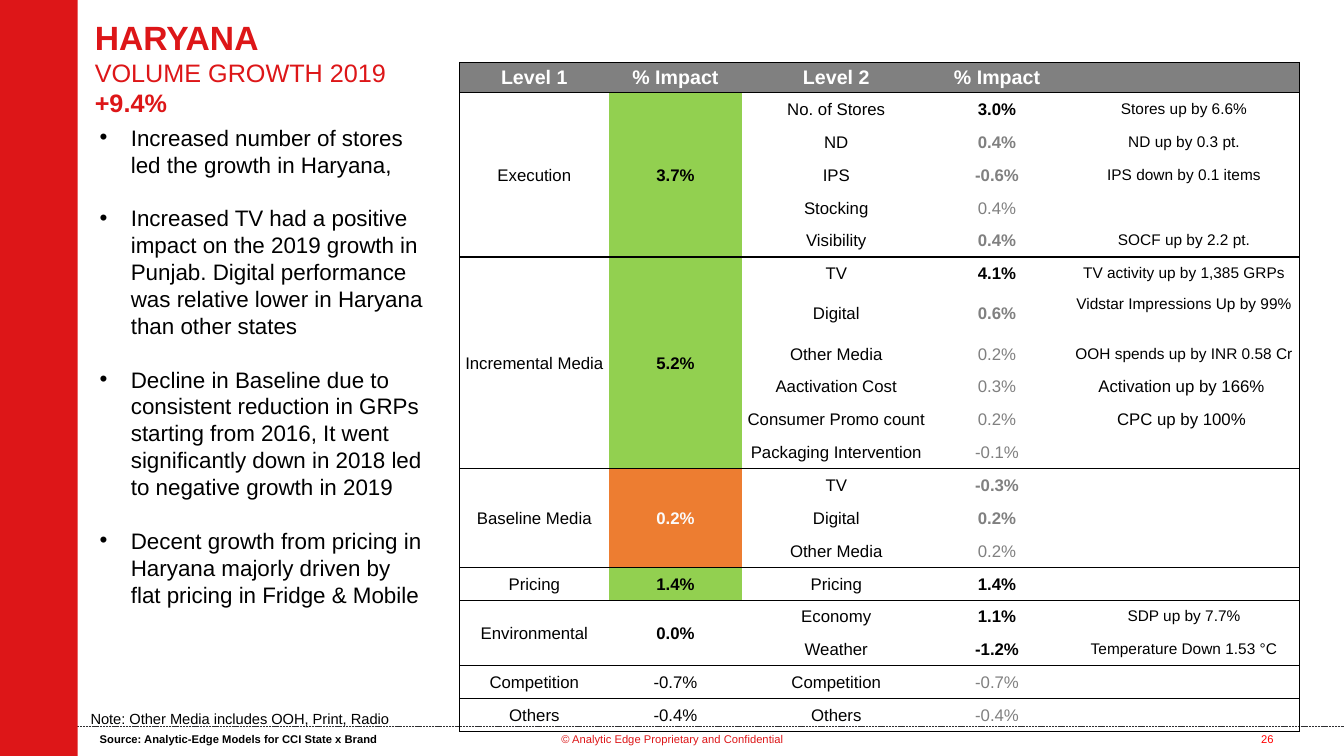
from lxml import etree
from pptx import Presentation
from pptx import util as u
from pptx.dml.color import RGBColor
from pptx.enum import dml, shapes, text
from pptx.oxml import ns


class Theme:
    font = "Arial"
    red, page_red, black, white = "DD1618", "FF0000", "000000", "FFFFFF"
    grey, green, orange, pale, dark = "808080", "92D050", "ED7D31", "FBFBFB", "2E2E30"
    title, subtitle, body, header = 24, 18, 16, 14
    cell, remark, note, footer = 12, 11, 10.5, 8


def add_run(para, words, size, color, bold=False):
    span = para.add_run()
    span.text = words
    span.font.name = Theme.font
    span.font.size = u.Pt(size)
    span.font.bold = bold
    span.font.color.rgb = RGBColor.from_string(color)


def set_borders(cell, sides):
    props = cell._tc.get_or_add_tcPr()
    for side in "LRTB":
        line = etree.SubElement(props, ns.qn(f"a:ln{side}"), w=str(u.Pt(1)))
        if side in sides:
            fill = etree.SubElement(line, ns.qn("a:solidFill"))
            etree.SubElement(fill, ns.qn("a:srgbClr"), val=Theme.black)
        else:
            etree.SubElement(line, ns.qn("a:noFill"))


deck = Presentation()
deck.slide_width, deck.slide_height = u.Inches(13.33), u.Inches(7.5)
page = deck.slides.add_slide(deck.slide_layouts[5])

footer_line = page.shapes.add_connector(
    shapes.MSO_CONNECTOR.STRAIGHT, u.Inches(0.71), u.Inches(7.21), u.Inches(13.33), u.Inches(7.21))
footer_line.line.color.rgb = RGBColor.from_string(Theme.dark)
footer_line.line.width = u.Pt(0.5)
footer_line.line.dash_style = dml.MSO_LINE.SQUARE_DOT
etree.SubElement(footer_line._element.spPr, ns.qn("a:effectLst"))

side_band = page.shapes.add_shape(
    shapes.MSO_SHAPE.RECTANGLE, 0, 0, u.Inches(0.77), u.Inches(7.5))
side_band.shadow.inherit = False
side_band.fill.solid()
side_band.fill.fore_color.rgb = RGBColor.from_string(Theme.red)
side_band.line.fill.background()

title = page.shapes.title
title.left, title.top = u.Inches(0.84), u.Inches(0.12)
title.width, title.height = u.Inches(10.25), u.Inches(0.86)
title.text_frame.auto_size = text.MSO_AUTO_SIZE.NONE
title.text_frame.vertical_anchor = text.MSO_ANCHOR.TOP
para = title.text_frame.paragraphs[0]
para.alignment = text.PP_ALIGN.LEFT
title_lines = [
    ("HARYANA", Theme.title, True),
    ("VOLUME GROWTH 2019", Theme.subtitle, False),
    ("+9.4%", Theme.subtitle, True),
]
for index, (words, size, bold) in enumerate(title_lines):
    if index:
        para.add_line_break()
        line_break = para._p.findall(ns.qn("a:br"))[-1]
        etree.SubElement(line_break, ns.qn("a:rPr"), sz=str(title_lines[index - 1][1] * 100))
    add_run(para, words, size, Theme.red, bold)

center, left = text.PP_ALIGN.CENTER, text.PP_ALIGN.LEFT
labels = [
    ("© Analytic Edge Proprietary and Confidential", 5.27, 7.22, 2.8, 0.4,
     center, Theme.footer, Theme.red, False),
    ("26", 12.26, 7.22, 0.62, 0.4, center, Theme.footer, Theme.page_red, False),
    ("Source: Analytic-Edge Models for CCI State x Brand", 0.89, 7.22, 2.98, 0.24,
     left, Theme.footer, Theme.black, True),
    ("Note: Other Media includes OOH, Print, Radio", 0.8, 6.99, 5.66, 0.29,
     left, Theme.note, Theme.black, False),
]
for words, x, y, width, height, align, size, color, bold in labels:
    box = page.shapes.add_textbox(u.Inches(x), u.Inches(y), u.Inches(width), u.Inches(height))
    box.text_frame.word_wrap = True
    para = box.text_frame.paragraphs[0]
    para.alignment = align
    add_run(para, words, size, color, bold)

findings = [
    "Increased number of stores led the growth in Haryana,",
    "Increased TV had a positive impact on the 2019 growth in Punjab. "
    "Digital performance was relative lower in Haryana than other states",
    "Decline in Baseline due to consistent reduction in GRPs starting from 2016, "
    "It went significantly down in 2018 led to negative growth in 2019",
    "Decent growth from pricing in Haryana majorly driven by flat pricing in Fridge & Mobile",
]
box = page.shapes.add_textbox(u.Inches(0.89), u.Inches(1.18), u.Inches(3.43), u.Inches(4.95))
box.text_frame.word_wrap = True
for index, finding in enumerate(findings):
    para = box.text_frame.add_paragraph() if index else box.text_frame.paragraphs[0]
    props = para._p.get_or_add_pPr()
    props.set("marL", str(u.Inches(0.31)))
    props.set("indent", str(-u.Inches(0.31)))
    etree.SubElement(props, ns.qn("a:buFont"), typeface=Theme.font)
    etree.SubElement(props, ns.qn("a:buChar"), char="•")
    para.line_spacing = u.Pt(19.2)
    if index:
        para.space_before = u.Pt(19.2)
    add_run(para, finding, Theme.body, Theme.black)

strong, medium, light = (Theme.black, True), (Theme.grey, True), (Theme.grey, False)
sections = [
    ("Execution", "3.7%", Theme.green, strong, [
        ("No. of Stores", "3.0%", strong, "Stores up by 6.6%", Theme.remark),
        ("ND", "0.4%", medium, "ND up by 0.3 pt.", Theme.remark),
        ("IPS", "-0.6%", medium, "IPS down by 0.1 items", Theme.remark),
        ("Stocking", "0.4%", light, "", Theme.cell),
        ("Visibility", "0.4%", medium, "SOCF up by 2.2 pt.", Theme.remark)]),
    ("Incremental Media", "5.2%", Theme.green, strong, [
        ("TV", "4.1%", strong, "TV activity up by 1,385 GRPs", Theme.remark),
        ("Digital", "0.6%", medium, "Vidstar Impressions Up by 99%", Theme.remark),
        ("Other Media", "0.2%", light, "OOH spends up by INR 0.58 Cr", Theme.remark),
        ("Aactivation Cost", "0.3%", light, "Activation up by 166%", Theme.cell),
        ("Consumer Promo count", "0.2%", light, "CPC up by 100%", Theme.cell),
        ("Packaging Intervention", "-0.1%", light, "", Theme.cell)]),
    ("Baseline Media", "0.2%", Theme.orange, (Theme.pale, True), [
        ("TV", "-0.3%", medium, "", Theme.cell),
        ("Digital", "0.2%", medium, "", Theme.cell),
        ("Other Media", "0.2%", light, "", Theme.cell)]),
    ("Pricing", "1.4%", Theme.green, strong, [("Pricing", "1.4%", strong, "", Theme.cell)]),
    ("Environmental", "0.0%", None, strong, [
        ("Economy", "1.1%", strong, "SDP up by 7.7%", Theme.remark),
        ("Weather", "-1.2%", strong, "Temperature Down 1.53 °C", Theme.remark)]),
    ("Competition", "-0.7%", None, (Theme.black, False), [
        ("Competition", "-0.7%", light, "", Theme.cell)]),
    ("Others", "-0.4%", None, (Theme.black, False), [
        ("Others", "-0.4%", light, "", Theme.cell)]),
]
plain = (Theme.black, False)
heading = (Theme.white, True)
headers = ["Level 1", "% Impact", "Level 2", "% Impact", ""]
grid_rows = [([(words, Theme.header, heading, Theme.grey) for words in headers], "TB")]
merges = []
for level, impact, fill, impact_style, drivers in sections:
    first, last = len(grid_rows), len(grid_rows) + len(drivers) - 1
    if last > first:
        merges.append((first, last))
    for index, (driver, share, share_style, remark, remark_size) in enumerate(drivers):
        top = "T" if index == 0 else ""
        bottom = "B" if index == len(drivers) - 1 else ""
        grid_rows.append(([
            ("" if index else level, Theme.cell, plain, None),
            ("" if index else impact, Theme.cell, impact_style, fill),
            (driver, Theme.cell, plain, None),
            (share, Theme.cell, share_style, None),
            (remark, remark_size, plain, None)], top + bottom))

table_height, header_height, digital_height, digital_row = 6.64, 0.3, 0.47, 7
row_height = (table_height - header_height - digital_height) / (len(grid_rows) - 2)
table = page.shapes.add_table(
    len(grid_rows), len(headers), u.Inches(4.56), u.Inches(0.62),
    u.Inches(8.33), u.Inches(table_height)).table
table.first_row = table.horz_banding = False
for column, width in zip(table.columns, [1.48, 1.32, 1.87, 1.32, 2.34]):
    column.width = u.Inches(width)
special_heights = {0: header_height, digital_row: digital_height}
merged_starts = {first for first, last in merges}
for r, (cells, edges) in enumerate(grid_rows):
    table.rows[r].height = u.Inches(special_heights.get(r, row_height))
    for c, (words, size, (color, bold), fill) in enumerate(cells):
        cell = table.cell(r, c)
        sides = edges + {0: "L", 4: "R"}.get(c, "")
        if c < 2 and r in merged_starts:
            sides += "B"
        set_borders(cell, sides)
        if fill:
            cell.fill.solid()
            cell.fill.fore_color.rgb = RGBColor.from_string(fill)
        else:
            cell.fill.background()
        cell.vertical_anchor = text.MSO_ANCHOR.MIDDLE
        wide = size == Theme.remark
        cell.margin_left = u.Inches(0.1 if wide else 0.01)
        cell.margin_right = cell.margin_top = u.Inches(0.05 if wide else 0.01)
        cell.margin_bottom = u.Inches(0.05 if wide else 0)
        para = cell.text_frame.paragraphs[0]
        para.alignment = center
        if words:
            add_run(para, words, size, color, bold)
        else:
            para._p.get_or_add_endParaRPr().set("sz", str(size * 100))
table.cell(digital_row, 4).margin_bottom = u.Inches(0.23)
for first, last in merges:
    for c in range(2):
        table.cell(first, c).merge(table.cell(last, c))

deck.save("out.pptx")
